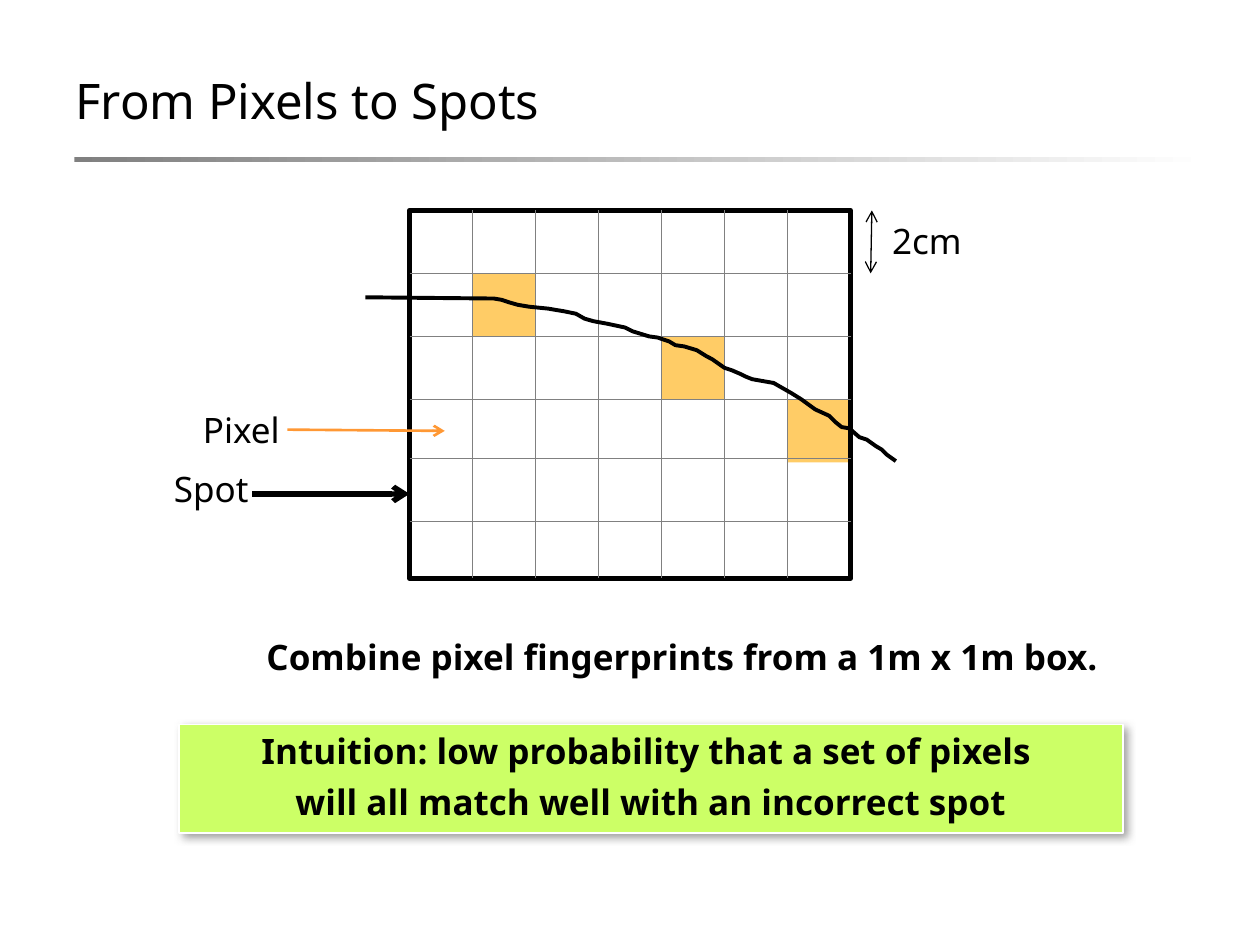
from lxml import etree
from pptx import Presentation
from pptx.dml.color import RGBColor
from pptx.enum.shapes import MSO_CONNECTOR, MSO_SHAPE
from pptx.enum.text import MSO_ANCHOR, MSO_AUTO_SIZE, PP_ALIGN
from pptx.oxml import parse_xml
from pptx.oxml.ns import nsdecls, qn
from pptx.util import Inches, Pt

FONT = "Noto Sans"
BLACK = RGBColor(0x00, 0x00, 0x00)
WHITE = RGBColor(0xFF, 0xFF, 0xFF)
GRAY = RGBColor(0x80, 0x80, 0x80)
AMBER = RGBColor(0xFF, 0xCC, 0x66)
ORANGE = RGBColor(0xFF, 0x98, 0x34)
LIME = RGBColor(0xCC, 0xFF, 0x66)

CELL = 0.5
ROW_OFFSETS = (0.5, 1, 1.5, 1.97, 2.47)
MATCHED_CELLS = ((4, 2), (6, 3), (1, 1))  # column, row

# Crack line, relative to the top left corner of the spot
CRACK = (
    (-0.35, 0.69), (0.67, 0.7), (0.73, 0.71), (0.79, 0.73), (0.86, 0.75),
    (0.95, 0.765), (1.1, 0.78), (1.16, 0.79), (1.22, 0.8), (1.32, 0.82),
    (1.39, 0.86), (1.46, 0.88), (1.57, 0.9), (1.71, 0.93), (1.77, 0.96),
    (1.9, 1), (1.97, 1.01), (2.06, 1.04), (2.11, 1.07), (2.18, 1.08),
    (2.28, 1.11), (2.36, 1.16), (2.4, 1.18), (2.5, 1.25), (2.56, 1.27),
    (2.63, 1.3), (2.67, 1.32), (2.72, 1.34), (2.89, 1.37), (3.03, 1.45),
    (3.11, 1.5), (3.22, 1.58), (3.33, 1.63), (3.38, 1.68), (3.43, 1.72),
    (3.49, 1.73), (3.57, 1.8), (3.63, 1.82), (3.7, 1.87), (3.75, 1.9),
    (3.79, 1.94), (3.86, 1.99),
)


def write(frame, text, size=20, bold=False, align=PP_ALIGN.LEFT,
          anchor=MSO_ANCHOR.TOP, inset=0.0, gap=0.0):
    frame.word_wrap = True
    frame.auto_size = MSO_AUTO_SIZE.NONE
    frame.vertical_anchor = anchor
    frame.margin_left = frame.margin_right = Inches(inset)
    frame.margin_top = frame.margin_bottom = Inches(inset)
    frame.text = text
    for index, paragraph in enumerate(frame.paragraphs):
        paragraph.alignment = align
        if index:
            paragraph.space_before = Pt(gap)
        for run in paragraph.runs:
            run.font.name = FONT
            run.font.size = Pt(size)
            run.font.bold = bold
            run.font.color.rgb = BLACK


def add_box(slide, left, top, width, height, fill=None, line=None, weight=1):
    box = slide.shapes.add_shape(MSO_SHAPE.RECTANGLE, Inches(left), Inches(top),
                                 Inches(width), Inches(height))
    box.shadow.inherit = False
    if fill is None:
        box.fill.background()
    else:
        box.fill.solid()
        box.fill.fore_color.rgb = fill
    if line is None:
        box.line.fill.background()
    else:
        box.line.color.rgb = line
        box.line.width = Pt(weight)
    return box


def add_line(slide, start, end, color, weight, arrows=()):
    """Draw a straight line; arrows may hold "headEnd" and "tailEnd"."""
    line = slide.shapes.add_connector(
        MSO_CONNECTOR.STRAIGHT, *(Inches(value) for value in (*start, *end)))
    line.line.color.rgb = color
    line.line.width = Pt(weight)
    for arrow in arrows:
        etree.SubElement(line.line._get_or_add_ln(), qn(f"a:{arrow}"), type="arrow")
    etree.SubElement(line._element.spPr, qn("a:effectLst"))


def add_label(slide, left, top, text):
    label = add_box(slide, left, top, 0.75, 0.42, fill=WHITE)
    write(label.text_frame, text)


def add_header(slide, left, top, width, height):
    title = slide.shapes.title
    title.left, title.top = Inches(left), Inches(top)
    title.width, title.height = Inches(width), Inches(height)
    write(title.text_frame, "From Pixels to Spots", size=28,
          anchor=MSO_ANCHOR.MIDDLE, inset=0.1)
    # Fading rule under the title
    rule = add_box(slide, left + 0.09, top + 1.08, width, 0.04)
    rule.fill.gradient()
    rule.fill.gradient_angle = 0
    for stop, color, position in zip(rule.fill.gradient_stops, (GRAY, WHITE), (0, 1)):
        stop.color.rgb = color
        stop.position = position


def add_spot(slide, left, top, width, height):
    right, bottom = left + width, top + height
    # Matched pixels and the spot outline
    for column, row in MATCHED_CELLS:
        add_box(slide, left + column * CELL, top + row * CELL, CELL, CELL, fill=AMBER)
    add_box(slide, left, top, width, height, line=BLACK, weight=3)

    # Pixel grid
    for column in range(1, round(width / CELL)):
        x = left + column * CELL
        add_line(slide, (x, top), (x, bottom), GRAY, 0.75)
    for offset in ROW_OFFSETS:
        add_line(slide, (left, top + offset), (right, top + offset), GRAY, 0.75)

    # Crack crossing the spot
    points = [(Inches(left + x), Inches(top + y)) for x, y in CRACK]
    builder = slide.shapes.build_freeform(*points[0])
    builder.add_line_segments(points[1:], close=False)
    crack = builder.convert_to_shape()
    crack.shadow.inherit = False
    crack.fill.background()
    crack.line.color.rgb = BLACK
    crack.line.width = Pt(2.25)

    # Labels with their arrows
    add_label(slide, left - 1.87, top + 2.04, "Spot")
    add_line(slide, (left - 1.25, top + 2.25), (left, top + 2.25),
             BLACK, 3, ["tailEnd"])
    add_label(slide, left - 1.64, top + 1.57, "Pixel")
    add_line(slide, (left - 0.97, top + 1.74), (left + 0.28, top + 1.75),
             ORANGE, 1.5, ["tailEnd"])
    add_label(slide, right + 0.33, top + 0.07, "2cm")
    add_line(slide, (right + 0.17, top), (right + 0.16, top + CELL),
             BLACK, 0.75, ["headEnd", "tailEnd"])


def add_caption(slide, left, top, width, height):
    caption = slide.shapes.add_textbox(Inches(left), Inches(top),
                                       Inches(width), Inches(height))
    write(caption.text_frame, "Combine pixel fingerprints from a 1m x 1m box.",
          bold=True, align=PP_ALIGN.CENTER, inset=0.04)


def add_intuition(slide, left, top, width, height):
    banner = add_box(slide, left, top, width, height, fill=LIME, line=WHITE)
    write(banner.text_frame,
          "Intuition: low probability that a set of pixels \n"
          "will all match well with an incorrect spot",
          bold=True, align=PP_ALIGN.CENTER, inset=0.04, gap=5.2)
    # Soft shadow to the lower right
    banner._element.spPr.find(qn("a:effectLst")).append(parse_xml(
        f'<a:outerShdw {nsdecls("a")} blurRad="{Pt(5)}" dist="{Pt(3)}" '
        f'dir="2700000" algn="tl" rotWithShape="0"><a:srgbClr val="{GRAY}">'
        '<a:alpha val="75000"/></a:srgbClr></a:outerShdw>'))


def main():
    presentation = Presentation()
    presentation.slide_width = Inches(10)
    presentation.slide_height = Inches(7.5)
    slide = presentation.slides.add_slide(presentation.slide_layouts[5])
    add_header(slide, 0.5, 0.17, 9, 1.25)
    add_intuition(slide, 1.42, 5.75, 7.49, 0.86)
    add_caption(slide, 1.25, 5, 8.33, 1.33)
    add_spot(slide, 3.25, 1.67, 3.5, 2.92)
    presentation.save("out.pptx")


if __name__ == "__main__":
    main()
